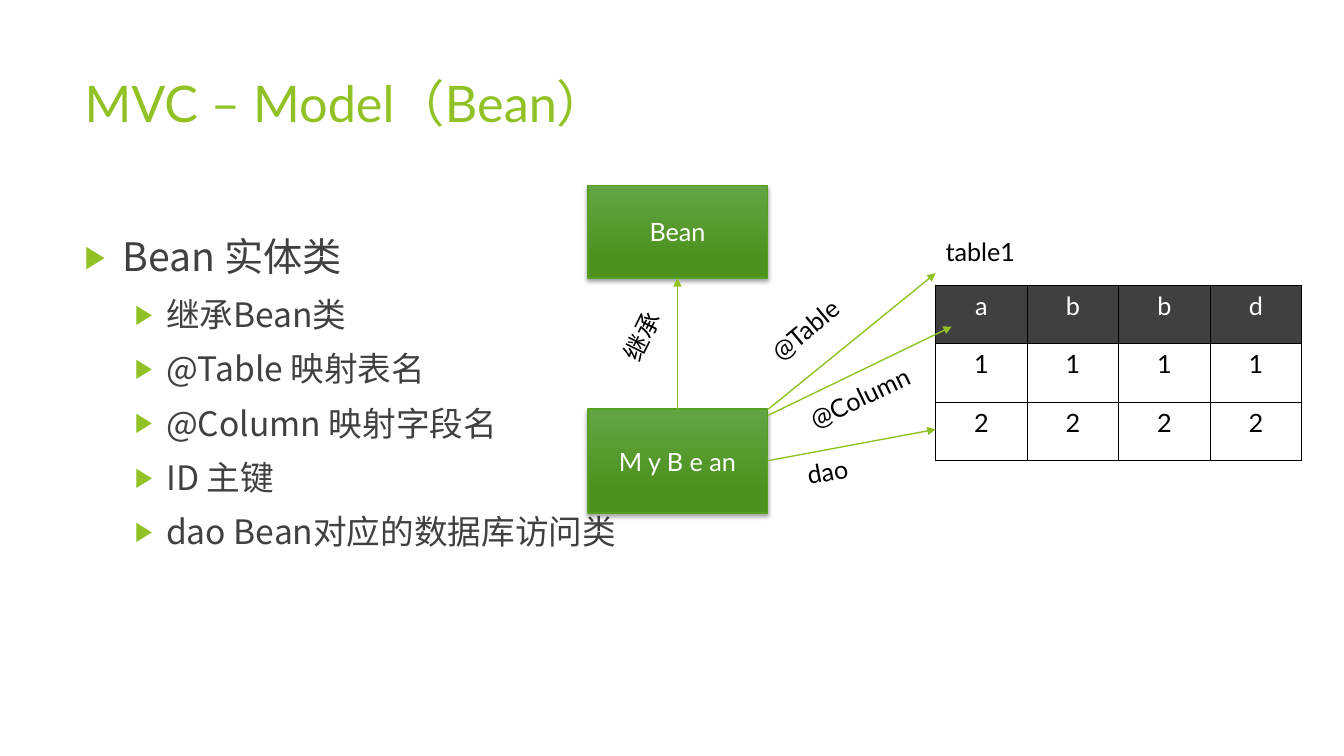
from lxml import etree
from pptx import Presentation
from pptx import util as u
from pptx.dml.color import RGBColor
from pptx.enum import shapes, text
from pptx.oxml.ns import qn

GREEN, DARK, BLACK, WHITE = "90C226", "404040", "000000", "FFFFFF"
LATIN, CJK = "Lato", "Noto Sans CJK SC"


def color(value):
    return RGBColor.from_string(value)


def add_xml(parent, tag, **attributes):
    return etree.SubElement(parent, qn(tag), attributes)


def add_solid(parent, value):
    add_xml(add_xml(parent, "a:solidFill"), "a:srgbClr", val=value)


def write(para, words, size=18, ink=BLACK, font=LATIN, align=None):
    span = para.add_run()
    span.text = words
    span.font.size = u.Pt(size)
    span.font.name = font
    span.font.color.rgb = color(ink)
    add_xml(span.font._element, "a:ea", typeface=CJK)
    para.alignment = align


def add_label(page, words, place, turn=0, wrap=True, **style):
    box = page.shapes.add_textbox(*map(u.Inches, place))
    box.rotation = turn
    box.text_frame.word_wrap = wrap
    write(box.text_frame.paragraphs[0], words, **style)


def add_bullet(para, indent, hanging):
    props = para._p.get_or_add_pPr()
    props.set("marL", str(u.Inches(indent)))
    props.set("indent", str(-u.Inches(hanging)))
    add_xml(add_xml(props, "a:buClr"), "a:srgbClr", val=GREEN)
    add_xml(props, "a:buSzPct", val="80000")
    add_xml(props, "a:buFont", typeface="Arial")
    add_xml(props, "a:buChar", char="▶")


def add_outline(page, heading, points, place):
    box = page.shapes.add_textbox(*map(u.Inches, place))
    frame = box.text_frame
    frame.word_wrap = True
    for number, words in enumerate([heading] + points):
        para = frame.add_paragraph() if number else frame.paragraphs[0]
        size = 24 if number else 28
        para.level = 1 if number else 0
        para.line_spacing = u.Pt(size * 1.2)
        para.space_before = u.Pt(10 if number else 0)
        add_bullet(para, *((0.81, 0.31) if number else (0.38, 0.38)))
        write(para, words, size, DARK, CJK)


def add_class(page, name, place):
    box = page.shapes.add_shape(shapes.MSO_SHAPE.RECTANGLE, *map(u.Inches, place))
    box.fill.gradient()
    box.fill.gradient_angle = 270
    for stop, position, shade in zip(box.fill.gradient_stops, (0, 0.78), ("63A545", "4D921E")):
        stop.position = position
        stop.color.rgb = color(shade)
    box.line.color.rgb = color("54A021")
    box.line.width = u.Pt(1)
    # Soft shadow below the box
    box.shadow.inherit = False
    effects = box._element.spPr.find(qn("a:effectLst"))
    shadow = add_xml(effects, "a:outerShdw", blurRad=str(u.Pt(3)), dist=str(u.Pt(2)),
                     dir="5400000", rotWithShape="0")
    add_xml(add_xml(shadow, "a:srgbClr", val=BLACK), "a:alpha", val="35000")
    box.text_frame.vertical_anchor = text.MSO_ANCHOR.MIDDLE
    write(box.text_frame.paragraphs[0], name, ink=WHITE, align=text.PP_ALIGN.CENTER)


def add_arrow(page, *ends):
    arrow = page.shapes.add_connector(shapes.MSO_CONNECTOR.STRAIGHT, *map(u.Inches, ends))
    arrow.line.color.rgb = color(GREEN)
    arrow.line.width = u.Pt(1)
    add_xml(arrow.line._get_or_add_ln(), "a:tailEnd", type="triangle")
    add_xml(arrow._element.spPr, "a:effectLst")


def add_grid(page, rows, place):
    grid = page.shapes.add_table(len(rows), len(rows[0]), *map(u.Inches, place)).table
    grid.first_row = grid.horz_banding = False
    for r, row in enumerate(rows):
        for c, words in enumerate(row):
            cell = grid.cell(r, c)
            props = cell._tc.get_or_add_tcPr()
            for side in ("a:lnL", "a:lnR", "a:lnT", "a:lnB"):
                add_solid(add_xml(props, side, w=str(u.Pt(1))), BLACK)
            if r == 0:
                cell.fill.solid()
                cell.fill.fore_color.rgb = color(DARK)
            else:
                cell.fill.background()
            write(cell.text_frame.paragraphs[0], words, ink=BLACK if r else WHITE,
                  align=text.PP_ALIGN.CENTER)


def main():
    deck = Presentation()
    deck.slide_width, deck.slide_height = u.Inches(13.33), u.Inches(7.5)
    page = deck.slides.add_slide(deck.slide_layouts[6])

    # Title and outline
    add_label(page, "MVC – Model（Bean）", (0.74, 0.67, 9.4, 1.44), size=36, ink=GREEN)
    points = ["继承Bean类", "@Table 映射表名", "@Column 映射字段名", "ID 主键",
              "dao Bean对应的数据库访问类"]
    add_outline(page, "Bean 实体类", points, (0.74, 2.26, 9.4, 5.05))

    # Classes and the mapped table
    add_class(page, "Bean", (5.83, 1.84, 1.78, 0.92))
    add_class(page, "M y B e an", (5.83, 4.06, 1.78, 1.03))
    add_grid(page, ["abbd", "1111", "2222"], (9.28, 2.83, 3.63, 1.74))
    add_label(page, "table1", (9.28, 2.3, 0.92, 0.4), wrap=False)

    # Relations
    add_arrow(page, 6.72, 4.06, 6.72, 2.76)
    add_arrow(page, 7.62, 4.06, 9.28, 2.71)
    add_arrow(page, 7.62, 4.12, 9.44, 3.24)
    add_arrow(page, 7.62, 4.57, 9.28, 4.26)
    add_label(page, "继承", (5.96, 3.05, 0.89, 0.4), turn=296.3)
    add_label(page, "@Table", (7.47, 2.99, 1.22, 0.4), turn=320.3)
    add_label(page, "@Column", (7.89, 3.7, 1.45, 0.4), turn=334.5)
    add_label(page, "dao", (7.9, 4.42, 1.22, 0.4), turn=349.5)

    deck.save("out.pptx")


if __name__ == "__main__":
    main()
